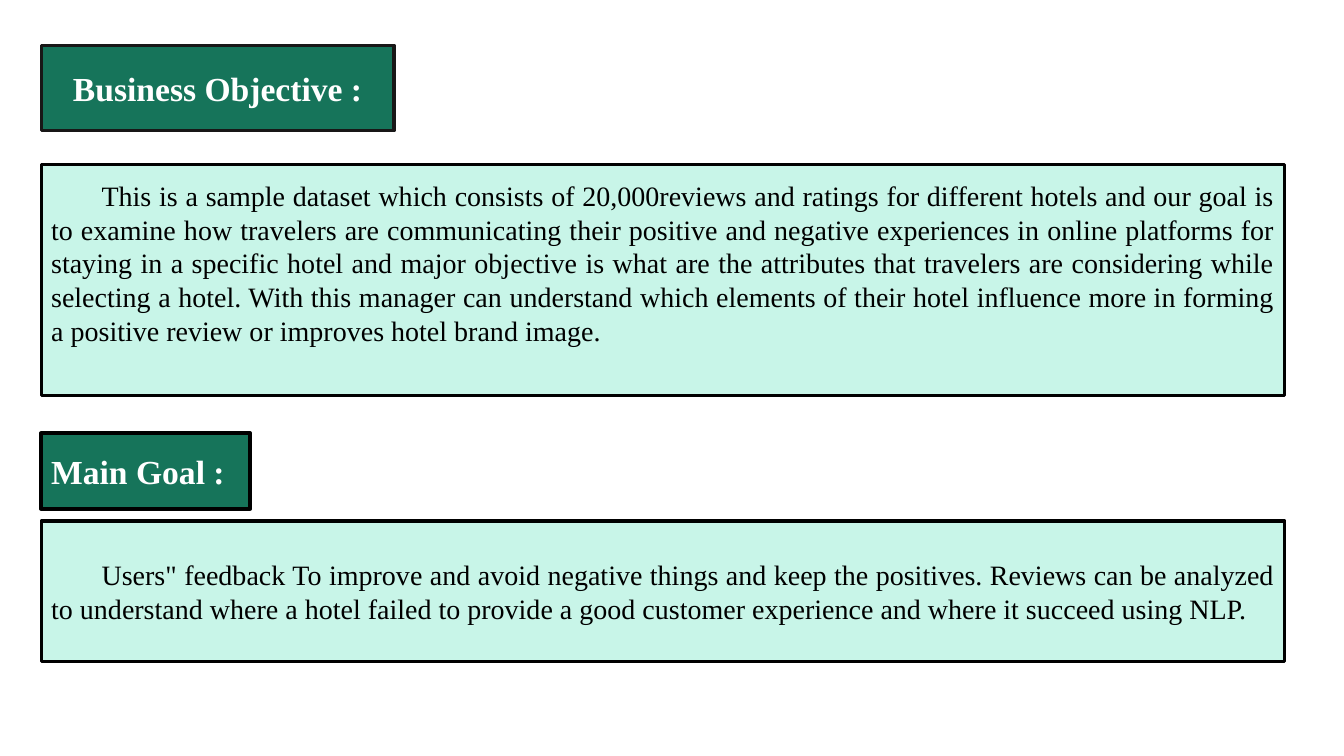
import pptx
import pptx.util
import pptx.dml.color
import pptx.enum.shapes
import pptx.enum.text

Cm = pptx.util.Cm
Pt = pptx.util.Pt
ALIGN = pptx.enum.text.PP_ALIGN
COLORS = {"green": "16745A", "mint": "C8F5E8", "charcoal": "181717",
          "black": "000000", "white": "FFFFFF"}
LEFT = 1.04
BODY_WIDTH = 31.34
INSET = 0.25


def rgb(name):
    """Return the named colour."""
    return pptx.dml.color.RGBColor.from_string(COLORS[name])


def add_box(page, text, top, width, height, fill, line, line_width, align):
    """Add a bordered rectangle with one paragraph and return it."""
    box = page.shapes.add_shape(pptx.enum.shapes.MSO_SHAPE.RECTANGLE,
                                Cm(LEFT), Cm(top), Cm(width), Cm(height))
    box.shadow.inherit = False
    box.fill.solid()
    box.fill.fore_color.rgb = rgb(fill)
    box.line.color.rgb = rgb(line)
    box.line.width = Pt(line_width)
    frame = box.text_frame
    frame.word_wrap = True
    frame.vertical_anchor = pptx.enum.text.MSO_ANCHOR.MIDDLE
    frame.margin_left = frame.margin_right = Cm(INSET)
    para = frame.paragraphs[0]
    para.text = text
    para.alignment = align
    para.font.name = "Times New Roman"
    return box


deck = pptx.Presentation()
deck.slide_width = Cm(33.87)
deck.slide_height = Cm(19.05)
page = deck.slides.add_slide(deck.slide_layouts[6])

headings = [
    ("Business Objective :", 1.14, 8.89, 2.16, "charcoal", 2.25, ALIGN.CENTER),
    ("Main Goal :", 10.92, 5.26, 1.9, "black", 3, ALIGN.LEFT),
]
for text, top, width, height, line, line_width, align in headings:
    box = add_box(page, text, top, width, height, "green", line, line_width, align)
    font = box.text_frame.paragraphs[0].font
    font.size = Pt(24)
    font.bold = True
    font.color.rgb = rgb("white")

objective = (
    "This is a sample dataset which consists of 20,000reviews and ratings for "
    "different hotels and our goal is to examine how travelers are communicating "
    "their positive and negative experiences in online platforms for staying in a "
    "specific hotel and major objective is what are the attributes that travelers "
    "are considering while selecting a hotel. With this manager can understand "
    "which elements of their hotel influence more in forming a positive review or "
    "improves hotel brand image.")
goal = (
    "Users\" feedback To improve and avoid negative things and keep the positives. "
    "Reviews can be analyzed to understand where a hotel failed to provide a good "
    "customer experience and where it succeed using NLP.")
bodies = [(objective, 4.14, 5.82, 0.98), (goal, 13.13, 3.53, 0.13)]
for text, top, height, bottom_margin in bodies:
    box = add_box(page, text, top, BODY_WIDTH, height, "mint", "black", 2.25,
                  ALIGN.JUSTIFY)
    box.text_frame.margin_bottom = Cm(bottom_margin)
    para = box.text_frame.paragraphs[0]
    para.font.size = Pt(20)
    para.font.color.rgb = rgb("black")
    para._p.get_or_add_pPr().set("indent", str(Cm(1.27)))

deck.save("out.pptx")
